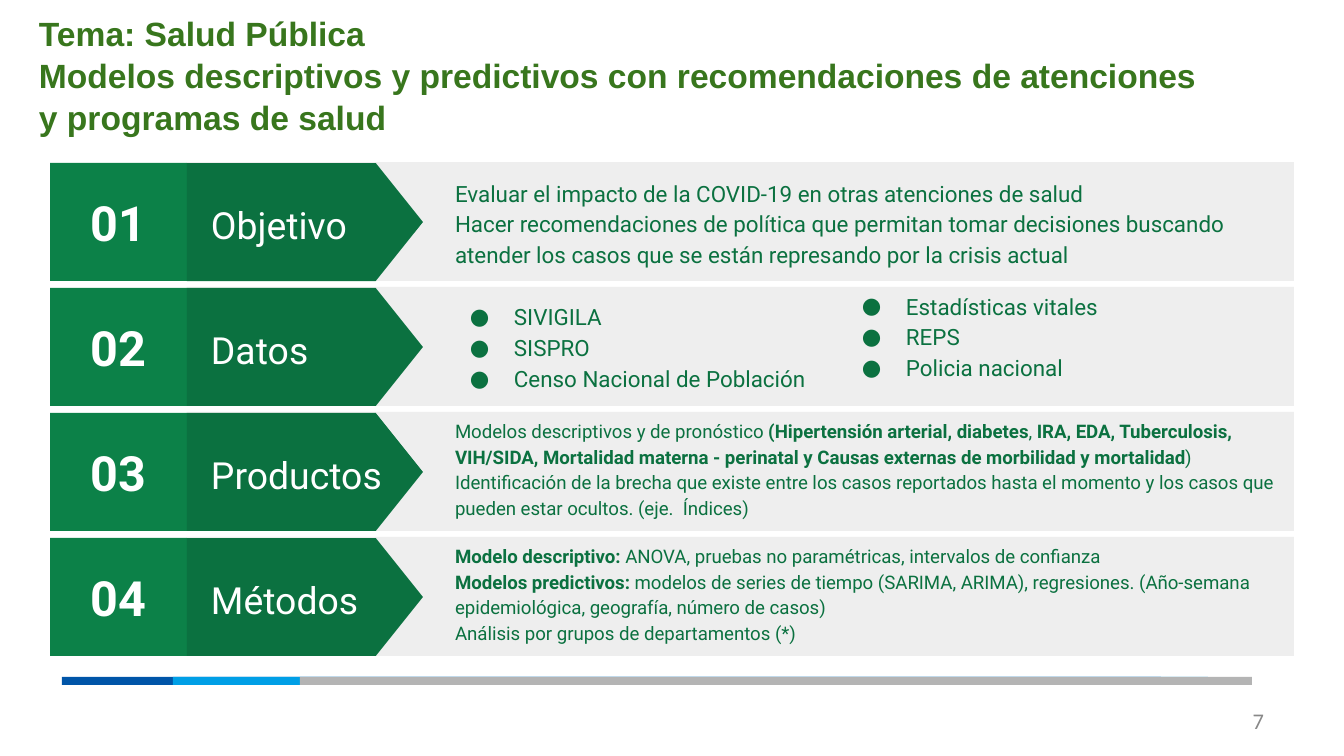
from dataclasses import dataclass

from lxml.etree import SubElement
from pptx import Presentation
from pptx.dml.color import RGBColor
from pptx.enum.shapes import MSO_SHAPE
from pptx.enum.text import MSO_ANCHOR, MSO_AUTO_SIZE, PP_ALIGN
from pptx.oxml.ns import qn
from pptx.util import Emu, Pt

WHITE = RGBColor(0xFF, 0xFF, 0xFF)
TITLE_GREEN = RGBColor(0x38, 0x76, 0x1D)
GREEN = RGBColor(0x0C, 0x81, 0x48)
DARK_GREEN = RGBColor(0x0B, 0x71, 0x40)
PALE = RGBColor(0xEE, 0xEE, 0xEE)
BLUE = RGBColor(0x00, 0x55, 0xA8)
SKY = RGBColor(0x00, 0x9F, 0xE6)
GRAY = RGBColor(0xB4, 0xB4, 0xB4)
NUMBER_GRAY = RGBColor(0x88, 0x88, 0x88)

ROW_TOP, ROW_PITCH, ROW_H = 162, 125, 118
INDENT, HANGING = 67, -44


@dataclass(frozen=True)
class Box:
    x: int
    y: int
    w: int
    h: int


@dataclass(frozen=True)
class Block:
    x: int
    dy: int
    w: int
    size: int
    lines: tuple[str, ...]
    bullet: bool = False
    insets: tuple[int, int] = (13, 13)


@dataclass(frozen=True)
class Row:
    label: str
    blocks: tuple[Block, ...]


@dataclass(frozen=True)
class Bar:
    x: int
    w: int
    color: RGBColor


ROWS = (
    Row("Objetivo", (Block(375, 1, 920, 12, (
        "Evaluar el impacto de la COVID-19 en otras atenciones de salud",
        "Hacer recomendaciones de política que permitan tomar decisiones buscando "
        "atender los casos que se están represando por la crisis actual",
    )),)),
    Row("Datos", (
        Block(434, 0, 501, 12, ("SIVIGILA", "SISPRO", "Censo Nacional de Población"), True),
        Block(826, 2, 382, 12, ("Estadísticas vitales", "REPS", "Policia nacional"), True, (0, 26)),
    )),
    Row("Productos", (Block(375, -3, 920, 10, (
        "Modelos descriptivos y de pronóstico **(Hipertensión arterial, diabetes**, "
        "**IRA, EDA, Tuberculosis, VIH/SIDA, Mortalidad materna - perinatal y "
        "Causas externas de morbilidad y mortalidad**)",
        "Identificación de la brecha que existe entre los casos reportados hasta el "
        "momento y los casos que pueden estar ocultos. (eje.  Índices)",
    )),)),
    Row("Métodos", (Block(375, -3, 920, 10, (
        "**Modelo descriptivo: **ANOVA, pruebas no paramétricas, intervalos de confianza",
        "**Modelos predictivos: **modelos de series de tiempo (SARIMA, ARIMA), "
        "regresiones. (Año-semana epidemiológica, geografía, número de casos)",
        "Análisis por grupos de departamentos (*)",
    )),)),
)
BARS = (Bar(62, 1099, BLUE), Bar(173, 1035, SKY), Bar(300, 952, GRAY))


def px(n: int) -> Emu:
    return Emu(round(n * 914400 / 134.4))


def place(b: Box) -> tuple[Emu, ...]:
    return px(b.x), px(b.y), px(b.w), px(b.h)


def set_text(sp, lines: tuple[str, ...], *, size: int, color: RGBColor,
             font: str = "Roboto", bold: bool = False, align=PP_ALIGN.LEFT,
             spacing: float = 1.0, insets: tuple[int, int] = (13, 13),
             indent: int = 0, bullet: bool = False) -> None:
    tf = sp.text_frame
    tf.word_wrap = True
    tf.auto_size = MSO_AUTO_SIZE.NONE
    tf.vertical_anchor = MSO_ANCHOR.MIDDLE
    tf.margin_left = tf.margin_right = px(13)
    tf.margin_top, tf.margin_bottom = map(px, insets)
    for i, line in enumerate(lines):
        p = tf.paragraphs[0] if i == 0 else tf.add_paragraph()
        p.alignment = align
        p.line_spacing = spacing
        p.space_before = p.space_after = Pt(0)
        pPr = p._p.get_or_add_pPr()
        pPr.set("marL", str(px(indent)))
        pPr.set("indent", str(px(HANGING if bullet else 0)))
        if bullet:
            clr = SubElement(pPr, qn("a:buClr"))
            SubElement(clr, qn("a:srgbClr"), val=str(color))
            SubElement(pPr, qn("a:buFont"), typeface=font)
            SubElement(pPr, qn("a:buChar"), char="●")
        for j, part in enumerate(line.split("**")):
            if part:
                r = p.add_run()
                r.text = part
                r.font.name = font
                r.font.size = Pt(size)
                r.font.bold = bold or j % 2 == 1
                r.font.color.rgb = color


def add_block(shapes, kind, box: Box, color: RGBColor):
    sp = shapes.add_shape(kind, *place(box))
    sp.shadow.inherit = False
    sp.fill.solid()
    sp.fill.fore_color.rgb = color
    sp.line.fill.background()
    return sp


def add_text(shapes, box: Box, lines: tuple[str, ...], **fmt) -> None:
    set_text(shapes.add_textbox(*place(box)), lines, **fmt)


def add_row(s, i: int, row: Row) -> None:
    y = ROW_TOP + i * ROW_PITCH
    shapes = s.shapes.add_group_shape().shapes
    add_block(shapes, MSO_SHAPE.RECTANGLE, Box(187, y, 1107, ROW_H + 1), PALE)
    sp = add_block(shapes, MSO_SHAPE.RECTANGLE, Box(50, y + 1, 137, ROW_H), GREEN)
    set_text(sp, (f"{i + 1:02}",), size=26, color=WHITE, bold=True, align=PP_ALIGN.CENTER)
    arrow = add_block(shapes, MSO_SHAPE.FLOWCHART_OFFPAGE_CONNECTOR,
                      Box(246, y - 58, ROW_H, 236), DARK_GREEN)
    arrow.rotation = 270
    add_text(shapes, Box(198, y + 14, 216, 91), (row.label,),
             size=20, color=WHITE, spacing=1.15)
    for b in row.blocks:
        add_text(shapes, Box(b.x, y + b.dy, b.w, ROW_H), b.lines, size=b.size,
                 color=DARK_GREEN, spacing=1.15, insets=b.insets,
                 indent=INDENT, bullet=b.bullet)


def main() -> None:
    prs = Presentation()
    prs.slide_width, prs.slide_height = px(1344), px(756)
    s = prs.slides.add_slide(prs.slide_layouts[5])
    title = s.shapes.title
    title.left, title.top, title.width, title.height = place(Box(26, 11, 1210, 126))
    set_text(title, (
        "Tema: Salud Pública",
        "Modelos descriptivos y predictivos con recomendaciones de atenciones "
        "y programas de salud",
    ), size=18, color=TITLE_GREEN, font="Arial", bold=True, spacing=1.04, insets=(7, 7))
    bars = s.shapes.add_group_shape().shapes
    for bar in BARS:
        add_block(bars, MSO_SHAPE.RECTANGLE, Box(bar.x, 677, bar.w, 8), bar.color)
    for i, row in enumerate(ROWS):
        add_row(s, i, row)
    add_text(s.shapes, Box(964, 701, 313, 40), ("7",), size=12, color=NUMBER_GRAY,
             font="Calibri", align=PP_ALIGN.RIGHT, insets=(7, 7))
    prs.save("out.pptx")


if __name__ == "__main__":
    main()
